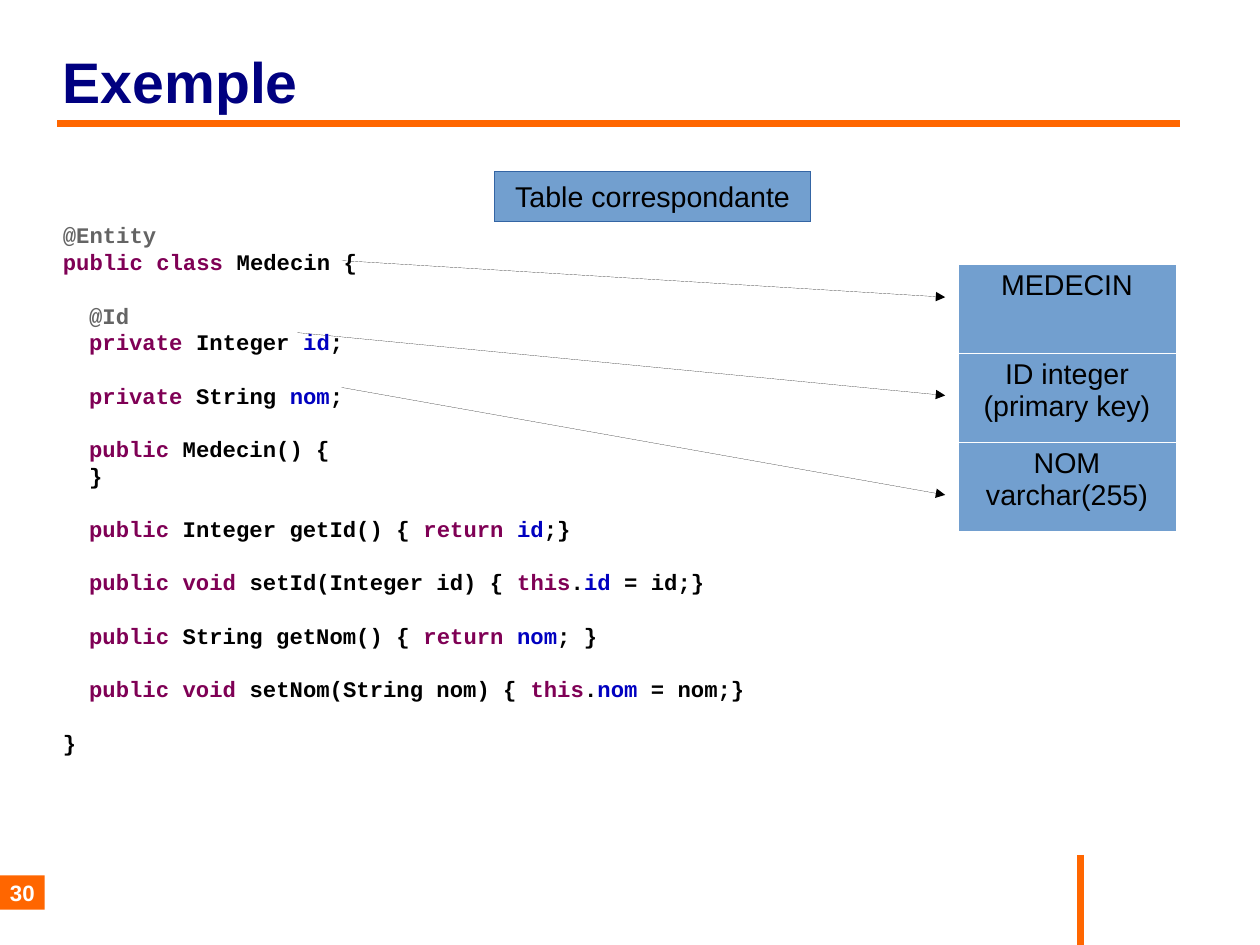
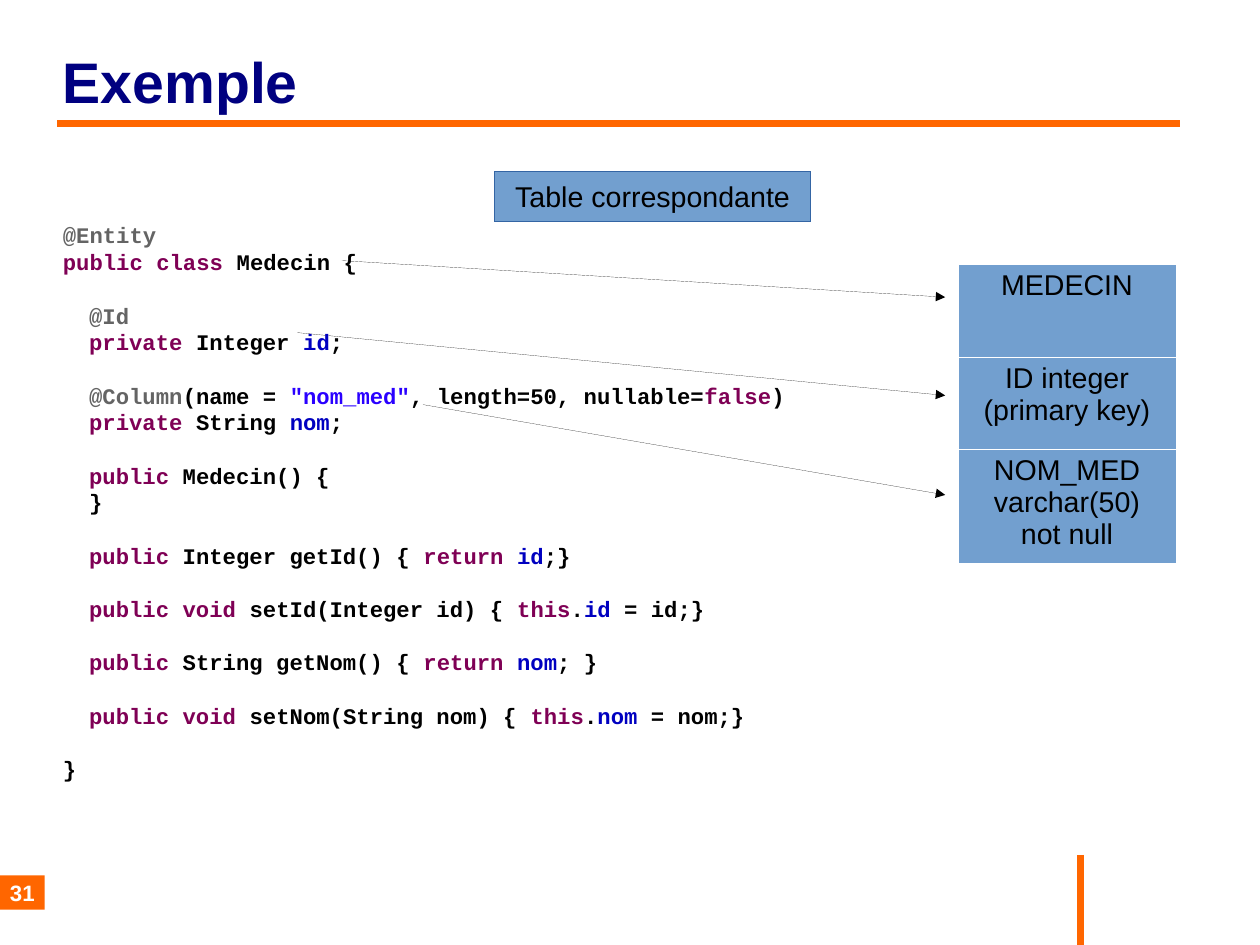
from dataclasses import dataclass

from lxml import etree
from pptx import Presentation
from pptx import util as u
from pptx.dml import color
from pptx.enum import shapes, text
from pptx.oxml import ns


@dataclass(frozen=True)
class Theme:
    """Colours, fonts and type sizes shared by the slides."""
    orange: str = "FF6600"
    navy: str = "000080"
    blue: str = "729FCF"
    blue_edge: str = "3465A4"
    black: str = "000000"
    white: str = "FFFFFF"
    annotation: str = "646464"
    keyword: str = "7F0055"
    field: str = "0000C0"
    string: str = "2A00FF"
    sans: str = "Arial"
    mono: str = "Courier New"
    title_size: float = 36
    label_size: float = 18
    code_size: float = 14
    code_pitch: float = 16.8
    rule_width: float = 4.54
    border_width: float = 0.06
    hairline: float = 0.01


THEME = Theme()
SPACES_PER_LEVEL = 2
LEVEL_INDENT = 0.23

# Coloured words are written `role:words`, where role is a colour of the theme.
ENTITY_START = """\
`annotation:@Entity`
`keyword:public class` Medecin {

  `annotation:@Id`
  `keyword:private` Integer `field:id`;
"""
COLUMN_ANNOTATION = """
  `annotation:@Column`(name = `string:"nom_med"`, length=50, nullable=`keyword:false`)"""
ENTITY_END = """
  `keyword:private` String `field:nom`;

  `keyword:public` Medecin() {
  }

  `keyword:public` Integer getId() { `keyword:return` `field:id`;}

  `keyword:public void` setId(Integer id) { `keyword:this`.`field:id` = id;}

  `keyword:public` String getNom() { `keyword:return` `field:nom`; }

  `keyword:public void` setNom(String nom) { `keyword:this`.`field:nom` = nom;}

}"""

EXAMPLES = [
    {
        "page": "30",
        "code": ENTITY_START + ENTITY_END,
        "rows": [(0.78, "MEDECIN"),
                 (0.78, "ID integer (primary key)"),
                 (0.78, "NOM\nvarchar(255)")],
        "name_anchor": (2.99, 3.39),
    },
    {
        "page": "31",
        "code": ENTITY_START + COLUMN_ANNOTATION + ENTITY_END,
        "rows": [(0.81, "MEDECIN"),
                 (0.81, "ID integer (primary key)"),
                 (0.88, "NOM_MED\nvarchar(50)\nnot null")],
        "name_anchor": (3.7, 3.54),
    },
]


def rgb(value):
    """Turn a hex string into a colour."""
    return color.RGBColor.from_string(value)


def assign(target, **values):
    """Set each named format value on the target."""
    for name, value in values.items():
        setattr(target, name, value)


def inches(*lengths):
    """Convert numbers to lengths in inches."""
    return [u.Inches(length) for length in lengths]


def style_font(font, size, tint, bold=False, face=THEME.sans):
    """Give a font its face, size, weight and colour."""
    assign(font, name=face, size=u.Pt(size), bold=bold)
    font.color.rgb = rgb(tint)


def set_frame(frame, wrap=True, anchor=text.MSO_ANCHOR.TOP, margins=(0, 0)):
    """Set wrapping, anchor and the side and top margins of a text frame."""
    side, top = inches(*margins)
    assign(frame, word_wrap=wrap, vertical_anchor=anchor, margin_left=side,
           margin_right=side, margin_top=top, margin_bottom=top)


def write_lines(frame, words, align, **font):
    """Write one styled paragraph per line of words."""
    frame.text = words
    for paragraph in frame.paragraphs:
        paragraph.alignment = align
        for run in paragraph.runs:
            style_font(run.font, **font)


def add_line(slide, start, end, tint, width, arrow=False):
    """Draw a straight line, with an arrowhead at its end if asked."""
    line = slide.shapes.add_connector(
        shapes.MSO_CONNECTOR.STRAIGHT, *inches(*start, *end))
    line.line.color.rgb = rgb(tint)
    line.line.width = u.Pt(width)
    properties = line._element.spPr
    if arrow:
        etree.SubElement(properties.find(ns.qn("a:ln")),
                         ns.qn("a:tailEnd"), type="triangle")
    etree.SubElement(properties, ns.qn("a:effectLst"))


def add_box(slide, place, words, fill, edge=None, wrap=True, margins=(0, 0), **font):
    """Draw a filled rectangle with centred words."""
    box = slide.shapes.add_shape(shapes.MSO_SHAPE.RECTANGLE, *inches(*place))
    box.shadow.inherit = False
    box.fill.solid()
    box.fill.fore_color.rgb = rgb(fill)
    if edge:
        box.line.color.rgb = rgb(edge)
        box.line.width = u.Pt(THEME.hairline)
    else:
        box.line.fill.background()
    set_frame(box.text_frame, wrap, text.MSO_ANCHOR.MIDDLE, margins)
    write_lines(box.text_frame, words, text.PP_ALIGN.CENTER, **font)


def add_title(slide, words):
    """Write the slide title above its orange rule."""
    title = slide.shapes.add_textbox(*inches(0.55, 0.33, 10.24, 0.76))
    set_frame(title.text_frame, anchor=text.MSO_ANCHOR.MIDDLE)
    write_lines(title.text_frame, words, text.PP_ALIGN.LEFT,
                size=THEME.title_size, tint=THEME.navy, bold=True)
    add_line(slide, (0.5, 1.08), (10.32, 1.08), THEME.orange, THEME.rule_width)


def add_borders(cell):
    """Give a table cell thin white borders on all sides."""
    properties = cell._tc.get_or_add_tcPr()
    for position, side in enumerate(("lnL", "lnR", "lnT", "lnB")):
        border = etree.Element(ns.qn(f"a:{side}"), w=str(u.Pt(THEME.border_width)))
        fill = etree.SubElement(border, ns.qn("a:solidFill"))
        etree.SubElement(fill, ns.qn("a:srgbClr"), val=THEME.white)
        properties.insert(position, border)


def add_database_table(slide, rows):
    """Draw the one-column database table."""
    height = sum(row_height for row_height, _ in rows)
    table = slide.shapes.add_table(
        len(rows), 1, *inches(8.38, 2.31, 1.91, height)).table
    assign(table, first_row=False, horz_banding=False)
    for index, (row_height, words) in enumerate(rows):
        table.rows[index].height = u.Inches(row_height)
        cell = table.cell(index, 0)
        cell.fill.solid()
        cell.fill.fore_color.rgb = rgb(THEME.blue)
        add_borders(cell)
        write_lines(cell.text_frame, words, text.PP_ALIGN.CENTER,
                    size=THEME.label_size, tint=THEME.black)


def add_code(slide, code):
    """Write highlighted code; blank lines become space before the next line."""
    listing = slide.shapes.add_textbox(*inches(0.55, 1.94, 9.92, 4.79))
    frame = listing.text_frame
    set_frame(frame)
    paragraph, gap = frame.paragraphs[0], 0
    for line in code.splitlines():
        if not line:
            gap += THEME.code_pitch
            continue
        if paragraph.runs:
            paragraph = frame.add_paragraph()
        assign(paragraph, line_spacing=u.Pt(THEME.code_pitch), space_before=u.Pt(gap))
        gap = 0
        statement = line.lstrip()
        level = (len(line) - len(statement)) // SPACES_PER_LEVEL
        paragraph._p.get_or_add_pPr().set("marL", str(u.Inches(LEVEL_INDENT * level)))
        for index, piece in enumerate(statement.split("`")):
            role, words = "black", piece
            if index % 2:
                role, _, words = piece.partition(":")
            if words:
                run = paragraph.add_run()
                run.text = words
                style_font(run.font, THEME.code_size, getattr(THEME, role),
                           bold=True, face=THEME.mono)


def add_example(deck, page, code, rows, name_anchor):
    """Build one slide mapping an entity class to its database table."""
    slide = deck.slides.add_slide(deck.slide_layouts[6])
    add_line(slide, (9.45, 7.48), (9.45, 8.27), THEME.orange, THEME.rule_width)
    add_title(slide, "Exemple")
    add_database_table(slide, rows)
    mappings = [((2.99, 2.28), 2.6), ((2.6, 2.91), 3.46), (name_anchor, 4.33)]
    for start, row_level in mappings:
        add_line(slide, start, (8.27, row_level), THEME.black, THEME.hairline, arrow=True)
    add_box(slide, (4.33, 1.5, 2.76, 0.44), "Table correspondante", THEME.blue,
            edge=THEME.blue_edge, wrap=False, margins=(0.1, 0.05),
            size=THEME.label_size, tint=THEME.black)
    add_code(slide, code)
    add_box(slide, (0, 7.66, 0.39, 0.3), page, THEME.orange,
            size=THEME.code_size, tint=THEME.white, bold=True)


def main():
    """Build and save the presentation."""
    deck = Presentation()
    deck.slide_width = u.Cm(28)
    deck.slide_height = u.Cm(21)
    for example in EXAMPLES:
        add_example(deck, **example)
    deck.save("out.pptx")


main()
